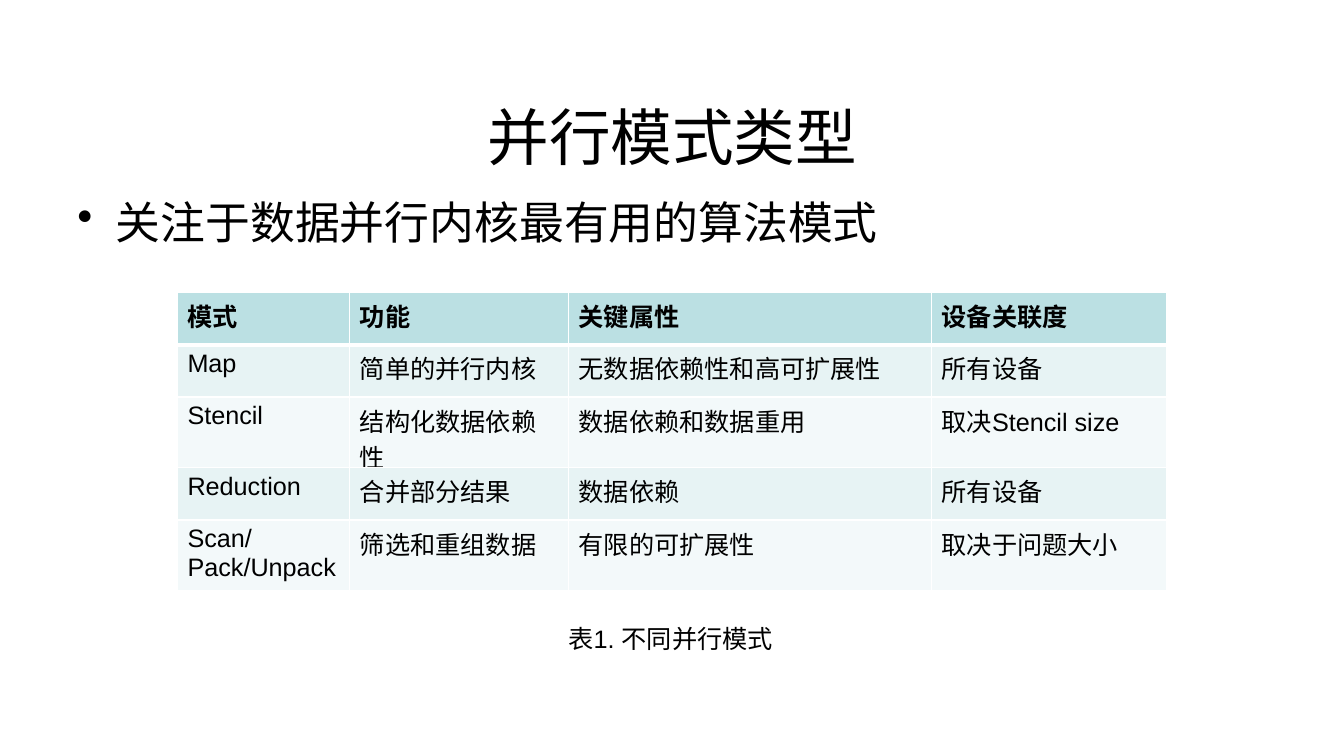
from dataclasses import dataclass

from lxml import etree
from pptx import Presentation
from pptx import util as u
from pptx.dml.color import RGBColor
from pptx.enum import text
from pptx.oxml import ns


@dataclass
class Theme:
    latin: str = "Arial"
    cjk: str = "Noto Sans CJK SC"
    ink: str = "000000"
    rule: str = "FFFFFF"
    header: str = "BBE0E3"
    bands: tuple = ("E7F3F4", "F3F9FA")
    title: int = 44
    body: int = 32
    small: int = 18


class SlideBuilder:
    def __init__(self, prs, theme):
        self.theme = theme
        self.s = prs.slides.add_slide(prs.slide_layouts[6])

    def style(self, p, size, latin=None, cjk=None, bold=False):
        p.font.size = u.Pt(size)
        p.font.name = latin or self.theme.latin
        p.font.bold = bold
        p.font.color.rgb = RGBColor.from_string(self.theme.ink)
        if cjk:
            props = p._p.pPr.find(ns.qn("a:defRPr"))
            etree.SubElement(props, ns.qn("a:ea"), typeface=cjk)

    def text(self, words, box, size, anchor=text.MSO_ANCHOR.TOP,
             align=text.PP_ALIGN.LEFT, **fonts):
        sp = self.s.shapes.add_textbox(*map(u.Inches, box))
        tf = sp.text_frame
        tf.word_wrap = True
        tf.vertical_anchor = anchor
        p = tf.paragraphs[0]
        p.text = words
        p.alignment = align
        self.style(p, size, **fonts)
        return p

    def bullet(self, words, box, size, indent, **fonts):
        p = self.text(words, box, size, **fonts)
        p.space_before = u.Pt(size * 0.2)
        pPr = p._p.pPr
        pPr.set("marL", str(u.Inches(indent)))
        pPr.set("indent", str(-u.Inches(indent)))
        mark = etree.Element(ns.qn("a:buChar"), char="•")
        pPr.find(ns.qn("a:defRPr")).addprevious(mark)

    def borders(self, cell, top, bottom):
        tcPr = cell._tc.get_or_add_tcPr()
        for side, width in (("L", 1), ("R", 1), ("T", top), ("B", bottom)):
            ln = etree.SubElement(tcPr, ns.qn(f"a:ln{side}"), w=str(u.Pt(width)))
            fill = etree.SubElement(ln, ns.qn("a:solidFill"))
            etree.SubElement(fill, ns.qn("a:srgbClr"), val=self.theme.rule)

    def table(self, rows, left, top, widths, row_height):
        t = self.theme
        frame = self.s.shapes.add_table(
            len(rows), len(widths), u.Inches(left), u.Inches(top),
            u.Inches(sum(widths)), u.Inches(row_height * len(rows)))
        tbl = frame.table
        for col, width in zip(tbl.columns, widths):
            col.width = u.Inches(width)
        for i, row in enumerate(rows):
            tbl.rows[i].height = u.Inches(row_height)
            color = t.bands[(i - 1) % 2] if i else t.header
            for j, words in enumerate(row):
                cell = tbl.cell(i, j)
                self.borders(cell, 3 if i == 1 else 1, 3 if i == 0 else 1)
                cell.fill.solid()
                cell.fill.fore_color.rgb = RGBColor.from_string(color)
                p = cell.text_frame.paragraphs[0]
                p.text = words
                self.style(p, t.small, cjk=t.cjk, bold=i == 0)


PATTERNS = [
    ("模式", "功能", "关键属性", "设备关联度"),
    ("Map", "简单的并行内核", "无数据依赖性和高可扩展性", "所有设备"),
    ("Stencil", "结构化数据依赖性", "数据依赖和数据重用", "取决Stencil size"),
    ("Reduction", "合并部分结果", "数据依赖", "所有设备"),
    ("Scan/ Pack/Unpack", "筛选和重组数据", "有限的可扩展性", "取决于问题大小"),
]


def main():
    prs = Presentation()
    prs.slide_width, prs.slide_height = u.Inches(13.33), u.Inches(7.5)
    theme = Theme()
    slide = SlideBuilder(prs, theme)
    slide.text("并行模式类型", (0.67, 0.97, 12, 0.75), theme.title,
               anchor=text.MSO_ANCHOR.MIDDLE, align=text.PP_ALIGN.CENTER,
               cjk=theme.cjk)
    slide.bullet("关注于数据并行内核最有用的算法模式", (0.67, 1.88, 12, 0.75),
                 theme.body, 0.38, latin=theme.cjk, cjk=theme.cjk)
    slide.table(PATTERNS, 1.76, 2.9, (1.71, 2.17, 3.6, 2.33), 0.52)
    slide.text("表1. 不同并行模式", (5.54, 6.13, 2.25, 0.4), theme.small)
    prs.save("out.pptx")


if __name__ == "__main__":
    main()
